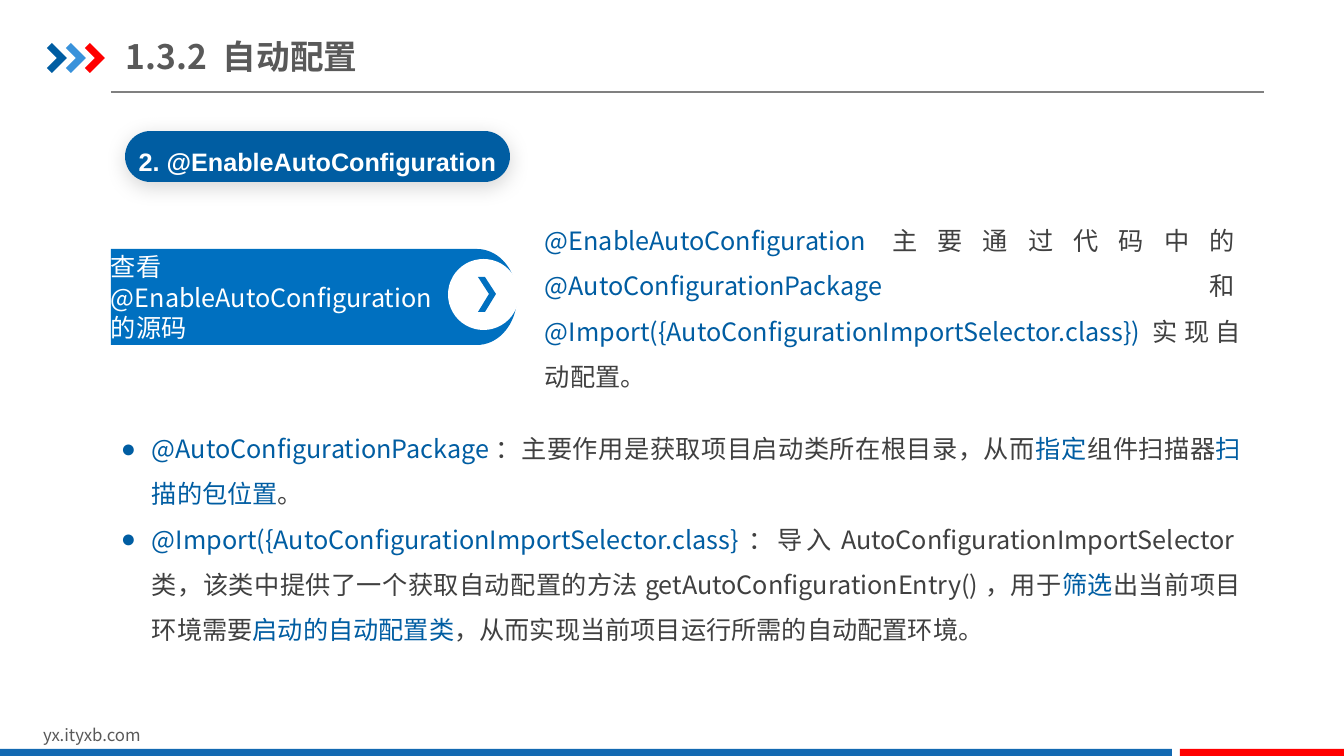
import math

from lxml import etree
from pptx import Presentation
from pptx.dml.color import RGBColor
from pptx.enum import shapes, text
from pptx.oxml import ns
from pptx.util import Pt

SLIDE_W, SLIDE_H = 1344, 756
EMU_PER_PX = 12192000 / SLIDE_W
NAVY = RGBColor(0x00, 0x5D, 0xA2)
SKY = RGBColor(0x39, 0x92, 0xDB)
RED = RGBColor(0xFF, 0x00, 0x00)
BLUE = RGBColor(0x00, 0x70, 0xC0)
BAR_BLUE = RGBColor(0x13, 0x69, 0xB2)
GREY = RGBColor(0x59, 0x59, 0x59)
INK = RGBColor(0x40, 0x40, 0x40)
RULE = RGBColor(0x80, 0x80, 0x80)
WHITE = RGBColor(0xFF, 0xFF, 0xFF)
CJK = "Noto Sans CJK SC"

SUMMARY = [
    ("@EnableAutoConfiguration", NAVY), ("主要通过代码中的", INK),
    ("@AutoConfigurationPackage", NAVY), ("和", INK),
    ("@Import({AutoConfigurationImportSelector.class})", NAVY),
    ("实现自动配置。", INK),
]
BULLETS = [
    [("@AutoConfigurationPackage", NAVY),
     ("：主要作用是获取项目启动类所在根目录，从而", INK), ("指定", NAVY),
     ("组件扫描器", INK), ("扫描的包位置", NAVY), ("。", INK)],
    [("@Import({AutoConfigurationImportSelector.class}", NAVY),
     ("：导入AutoConfigurationImportSelector类，该类中提供了一个获取自动配置的方法"
      "getAutoConfigurationEntry()，用于", INK),
     ("筛选", NAVY), ("出当前项目环境需要", INK), ("启动的自动配置类", NAVY),
     ("，从而实现当前项目运行所需的自动配置环境。", INK)],
]


def px(value):
    return round(value * EMU_PER_PX)


def place(shape, box):
    shape.left, shape.top, shape.width, shape.height = map(px, box)


def paint(shape, color):
    shape.shadow.inherit = False
    shape.fill.solid()
    shape.fill.fore_color.rgb = color
    shape.line.fill.background()
    return shape


def add_preset(page, kind, box, color):
    return paint(page.shapes.add_shape(kind, *map(px, box)), color)


def add_outline(page, left, top, points, color):
    """Draw a closed polygon whose points are relative to left and top."""
    corners = [(px(left + x), px(top + y)) for x, y in points]
    builder = page.shapes.build_freeform(*corners[0])
    builder.add_line_segments(corners[1:])
    return paint(builder.convert_to_shape(), color)


def set_frame(shape, anchor, margins=(10, 5)):
    """Set wrapping, anchor and (side, top and bottom) margins in px."""
    frame = shape.text_frame
    frame.word_wrap = True
    frame.auto_size = text.MSO_AUTO_SIZE.NONE
    frame.vertical_anchor = anchor
    frame.margin_left = frame.margin_right = px(margins[0])
    frame.margin_top = frame.margin_bottom = px(margins[1])
    return frame


def write(para, spans, size=18, font=CJK, bold=False,
          align=text.PP_ALIGN.LEFT, spacing=1.0):
    para.alignment = align
    para.line_spacing = spacing
    para.space_before = Pt(0)
    for words, color in spans:
        span = para.add_run()
        span.text = words
        span.font.size = Pt(size)
        span.font.bold = bold
        span.font.color.rgb = color
        span.font.name = font
        etree.SubElement(span.font._element, ns.qn("a:ea"), typeface=font)


def write_lines(frame, lines, **style):
    for index, spans in enumerate(lines):
        para = frame.add_paragraph() if index else frame.paragraphs[0]
        write(para, spans, **style)


def add_bullet(para, indent):
    props = para._p.get_or_add_pPr()
    props.set("marL", str(px(indent)))
    props.set("indent", str(-px(indent)))
    etree.SubElement(props, ns.qn("a:buFont"), typeface="Arial")
    etree.SubElement(props, ns.qn("a:buChar"), char="●")


def add_soft_shadow(shape):
    effects = shape._element.spPr.find(ns.qn("a:effectLst"))
    shadow = etree.SubElement(
        effects, ns.qn("a:outerShdw"), blurRad=str(Pt(15)), dist=str(Pt(3)),
        dir="5400000", algn="t", rotWithShape="0")
    tint = etree.SubElement(shadow, ns.qn("a:srgbClr"), val="000000")
    etree.SubElement(tint, ns.qn("a:alpha"), val="17000")


def build_header(page, box):
    left, top, width, height = box
    rule = page.shapes.add_connector(
        shapes.MSO_CONNECTOR.STRAIGHT, px(left + 64), px(top + height),
        px(left + width), px(top + height))
    rule.line.color.rgb = RULE
    rule.line.width = Pt(0.75)
    etree.SubElement(rule._element.spPr, ns.qn("a:effectLst"))
    arrow = [(0, 5), (5, 0), (20, 15), (5, 30), (0, 25), (10, 15)]
    for index, color in enumerate((NAVY, SKY, RED)):
        add_outline(page, left + 19 * index, top + 14, arrow, color)
    title = page.shapes.title
    place(title, (left + 79, top, 429, 55))
    frame = set_frame(title, text.MSO_ANCHOR.MIDDLE, (0, 7))
    write(frame.paragraphs[0], [("1.3.2 自动配置", GREY)], size=24, bold=True)


def build_badge(page, box):
    badge = add_preset(page, shapes.MSO_SHAPE.ROUNDED_RECTANGLE, box, NAVY)
    badge.adjustments[0] = 0.5
    add_soft_shadow(badge)
    frame = set_frame(badge, text.MSO_ANCHOR.MIDDLE, (0, 5))
    write(frame.paragraphs[0], [("2. @EnableAutoConfiguration", WHITE)],
          font="Arial", bold=True, align=text.PP_ALIGN.CENTER, spacing=1.35)


def build_source_button(page, box):
    """Banner with a half-round right end that holds a round arrow."""
    left, top, width, height = box
    radius_x, radius_y = 40, height / 2
    angles = [math.radians(step) for step in range(-90, 91, 5)]
    arc = [(width - radius_x + radius_x * math.cos(a),
            radius_y + radius_y * math.sin(a)) for a in angles]
    banner = add_outline(page, left, top, [(0, 0), *arc, (0, height)], BLUE)
    frame = set_frame(banner, text.MSO_ANCHOR.MIDDLE, (0, 0))
    labels = ("查看", "@EnableAutoConfiguration", "的源码")
    write_lines(frame, [[(label, WHITE)] for label in labels])
    add_preset(page, shapes.MSO_SHAPE.OVAL,
               (left + width - 69, top + 10, 71, 71), WHITE)
    arrow = [(0, 0), (7, 0), (18, 17), (7, 35), (0, 35), (11, 17)]
    add_outline(page, left + width - 39, top + 28, arrow, BLUE)


def build_summary(page, box):
    frame = set_frame(page.shapes.add_textbox(*map(px, box)),
                      text.MSO_ANCHOR.MIDDLE)
    write(frame.paragraphs[0], SUMMARY, align=text.PP_ALIGN.JUSTIFY,
          spacing=1.5)


def build_bullets(page, box):
    body = page.placeholders[1]
    place(body, box)
    frame = set_frame(body, text.MSO_ANCHOR.MIDDLE)
    write_lines(frame, BULLETS, align=text.PP_ALIGN.JUSTIFY, spacing=1.5)
    for para in frame.paragraphs:
        add_bullet(para, 31)


def build_footer(page, box):
    left, top, width, height = box
    address = page.shapes.add_textbox(*map(px, (left + 33, top, 321, 30)))
    frame = set_frame(address, text.MSO_ANCHOR.TOP)
    write(frame.paragraphs[0], [("yx.ityxb.com", GREY)], size=12)
    bar_top, bar_height, red_width, gap = top + height - 7, 7, 164, 8
    blue_width = width - red_width - gap
    bars = ((left, blue_width, BAR_BLUE),
            (left + blue_width + gap, red_width, RED))
    for bar_left, bar_width, color in bars:
        add_preset(page, shapes.MSO_SHAPE.RECTANGLE,
                   (bar_left, bar_top, bar_width, bar_height), color)


def main():
    deck = Presentation()
    deck.slide_width, deck.slide_height = px(SLIDE_W), px(SLIDE_H)
    page = deck.slides.add_slide(deck.slide_layouts[1])
    build_header(page, (47, 29, 1217, 63))
    build_badge(page, (125, 131, 385, 51))
    build_source_button(page, (111, 249, 406, 96))
    build_summary(page, (535, 224, 716, 154))
    build_bullets(page, (111, 415, 1140, 233))
    build_footer(page, (0, 720, SLIDE_W, 36))
    deck.save("out.pptx")


if __name__ == "__main__":
    main()
